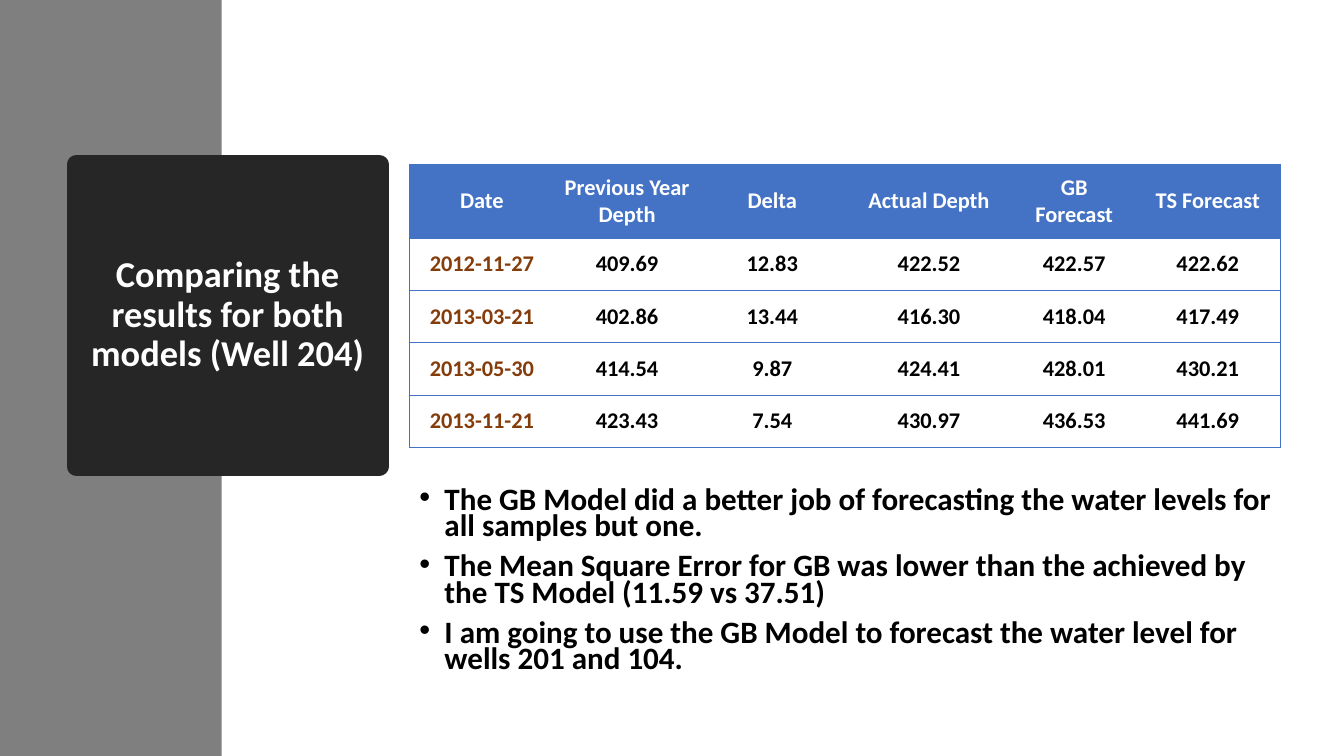
from dataclasses import dataclass

from lxml import etree
from pptx import Presentation
from pptx.dml.color import RGBColor
from pptx.enum import shapes, text
from pptx.oxml import ns
from pptx.util import Inches, Pt

COLORS = {
    "band": "7F7F7F",
    "title_card": "262626",
    "accent": "4472C4",
    "date": "843C0B",
    "black": "000000",
    "white": "FFFFFF",
}
FONT_NAME = "Calibri"
HEADERS = ["Date", "Previous Year Depth", "Delta", "Actual Depth", "GB Forecast", "TS Forecast"]
COLUMN_WIDTHS = [1.44, 1.44, 1.44, 1.67, 1.21, 1.44]
HEADER_HEIGHT, ROW_HEIGHT = 0.73, 0.52
CONCLUSIONS = [
    "The GB Model did a better job of forecasting the water levels for all samples but one.",
    "The Mean Square Error for GB was lower than the achieved by the TS Model (11.59 vs 37.51)",
    "I am going to use the GB Model to forecast the water level for wells 201 and 104.",
]


@dataclass
class Forecast:
    date: str
    previous: str
    delta: str
    actual: str
    gradient_boost: str
    time_series: str

    def values(self) -> list[str]:
        return [self.date, self.previous, self.delta, self.actual,
                self.gradient_boost, self.time_series]


@dataclass
class Panel:
    left: float
    top: float
    width: float
    height: float
    color: str
    border: float = 0


FORECASTS = [
    Forecast("2012-11-27", "409.69", "12.83", "422.52", "422.57", "422.62"),
    Forecast("2013-03-21", "402.86", "13.44", "416.30", "418.04", "417.49"),
    Forecast("2013-05-30", "414.54", "9.87", "424.41", "428.01", "430.21"),
    Forecast("2013-11-21", "423.43", "7.54", "430.97", "436.53", "441.69"),
]
SIDE_BAND = Panel(0, 0, 2.2, 7.5, "band")
TITLE_CARD = Panel(0.76, 1.63, 3, 3, "title_card", border=13.75)


def rgb(name: str) -> RGBColor:
    return RGBColor.from_string(COLORS[name])


def apply(target, formats: dict) -> None:
    for name, value in formats.items():
        setattr(target, name, value)


def add_span(para, words: str, size: float, color: str) -> None:
    span = para.add_run()
    span.text = words
    apply(span.font, {"name": FONT_NAME, "size": Pt(size), "bold": True})
    span.font.color.rgb = rgb(color)


def add_panel(page, panel: Panel):
    box = page.shapes.add_shape(
        shapes.MSO_SHAPE.RECTANGLE,
        *map(Inches, (panel.left, panel.top, panel.width, panel.height)))
    box.shadow.inherit = False
    box.fill.solid()
    box.fill.fore_color.rgb = rgb(panel.color)
    if panel.border:
        box.line.color.rgb = rgb(panel.color)
        box.line.width = Pt(panel.border)
        etree.SubElement(box.line._get_or_add_ln(), ns.qn("a:round"))
    else:
        box.line.fill.background()
    return box


def add_title(page) -> None:
    box = add_panel(page, TITLE_CARD)
    apply(box.text_frame, {"word_wrap": True, "vertical_anchor": text.MSO_ANCHOR.MIDDLE})
    para = box.text_frame.paragraphs[0]
    apply(para, {"alignment": text.PP_ALIGN.CENTER, "line_spacing": 0.9})
    add_span(para, "Comparing the results for both models (Well 204)", 26, "white")


def add_conclusions(page) -> None:
    box = page.shapes.add_textbox(Inches(4.06), Inches(4.81), Inches(8.75), Inches(2.09))
    frame = box.text_frame
    frame.word_wrap = True
    for index, sentence in enumerate(CONCLUSIONS):
        para = frame.add_paragraph() if index else frame.paragraphs[0]
        apply(para, {"line_spacing": 0.7, "space_before": Pt(10)})
        properties = para._p.get_or_add_pPr()
        properties.set("marL", str(Inches(0.25)))
        properties.set("indent", str(Inches(-0.25)))
        etree.SubElement(properties, ns.qn("a:buFont"), typeface="Arial")
        etree.SubElement(properties, ns.qn("a:buChar"), char="•")
        add_span(para, sentence, 22.2, "black")


def set_borders(cell, visible: set[str]) -> None:
    """Draw the visible sides, out of L, R, T and B, and clear the others."""
    properties = cell._tc.get_or_add_tcPr()
    for side in "LRTB":
        line = etree.SubElement(properties, ns.qn(f"a:ln{side}"), w=str(Pt(0.5)))
        if side in visible:
            fill = etree.SubElement(line, ns.qn("a:solidFill"))
            etree.SubElement(fill, ns.qn("a:srgbClr"), val=COLORS["accent"])
        else:
            etree.SubElement(line, ns.qn("a:noFill"))


def fill_cell(cell, words: str, row: int, column: int) -> None:
    outer = {0: {"L"}, len(HEADERS) - 1: {"R"}}.get(column, set())
    set_borders(cell, {"T", "B"} | outer)
    cell.fill.solid()
    cell.fill.fore_color.rgb = rgb("white" if row else "accent")
    apply(cell, {
        "vertical_anchor": text.MSO_ANCHOR.MIDDLE,
        "margin_left": Inches(0.08), "margin_right": Inches(0.08),
        "margin_top": Inches(0.04), "margin_bottom": Inches(0.04),
    })
    para = cell.text_frame.paragraphs[0]
    para.alignment = text.PP_ALIGN.CENTER
    color = "white" if row == 0 else "date" if column == 0 else "black"
    add_span(para, words, 16, color)


def add_forecast_table(page) -> None:
    rows = [HEADERS] + [forecast.values() for forecast in FORECASTS]
    height = HEADER_HEIGHT + ROW_HEIGHT * len(FORECASTS)
    table = page.shapes.add_table(
        len(rows), len(HEADERS), Inches(4.06), Inches(1.63),
        Inches(sum(COLUMN_WIDTHS)), Inches(height)).table
    table.horz_banding = False
    for column, width in zip(table.columns, COLUMN_WIDTHS):
        column.width = Inches(width)
    for row, values in enumerate(rows):
        table.rows[row].height = Inches(ROW_HEIGHT if row else HEADER_HEIGHT)
        for column, words in enumerate(values):
            fill_cell(table.cell(row, column), words, row, column)


def main() -> None:
    deck = Presentation()
    apply(deck, {"slide_width": Inches(13.33), "slide_height": Inches(7.5)})
    page = deck.slides.add_slide(deck.slide_layouts[6])
    add_panel(page, SIDE_BAND)
    add_title(page)
    add_conclusions(page)
    add_forecast_table(page)
    deck.save("out.pptx")


if __name__ == "__main__":
    main()
